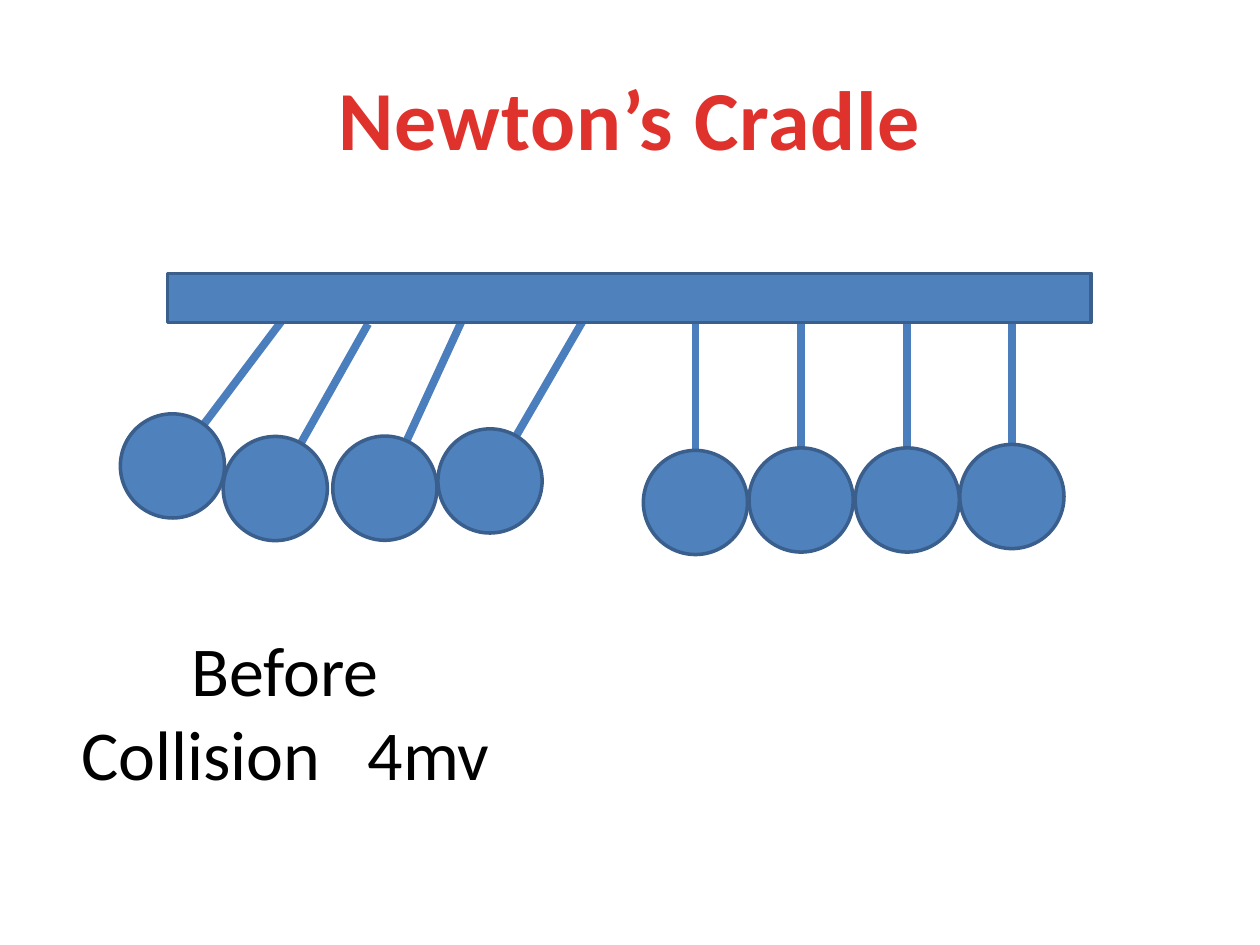
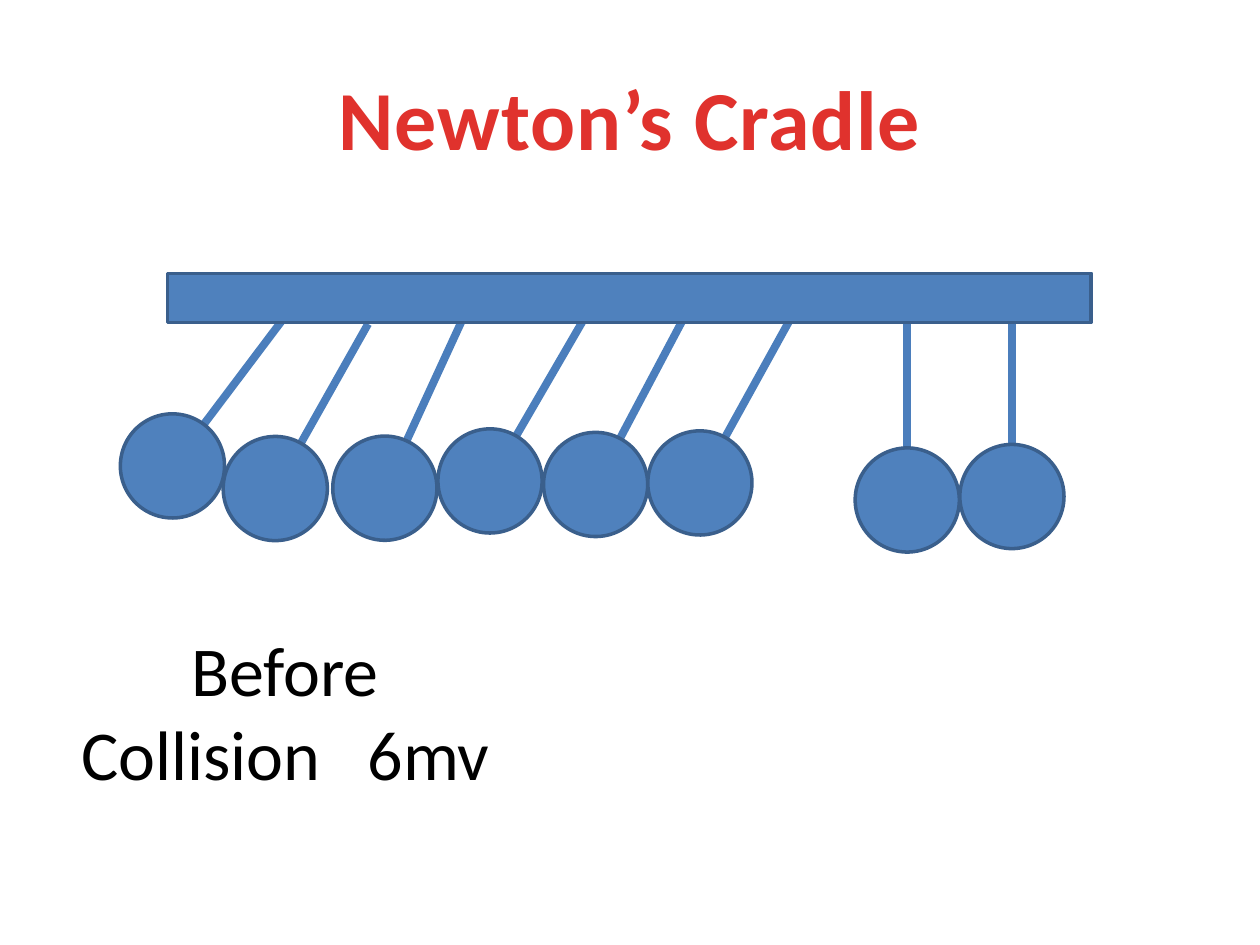
from math import cos, radians, sin

from lxml import etree
from pptx import Presentation
from pptx.dml.color import RGBColor
from pptx.enum.shapes import MSO_CONNECTOR, MSO_SHAPE
from pptx.enum.text import MSO_ANCHOR, PP_ALIGN
from pptx.oxml.ns import qn
from pptx.util import Cm, Pt

RECTANGLE, OVAL = MSO_SHAPE.RECTANGLE, MSO_SHAPE.OVAL
STRAIGHT = MSO_CONNECTOR.STRAIGHT
CENTER = PP_ALIGN.CENTER
TOP, MIDDLE = MSO_ANCHOR.TOP, MSO_ANCHOR.MIDDLE

# Content: string hooks as (x, y, swing in degrees), lengths in cm
TITLE = "Newton’s Cradle"
CAPTION = "Before Collision"
RAISED = [
    (5.77, 6.35, 37), (7.42, 6.53, 29.4), (9.35, 6.38, 24.7),
    (11.79, 6.4, 30.1), (13.79, 6.4, 27.9), (15.95, 6.4, 28.9),
]
HANGING = [
    (14.02, 6.32, 0), (16.15, 6.27, 0), (18.29, 6.27, 0), (20.4, 6.2, 0),
]
BALL_COUNT = 8
SLIDES = [(4, "4mv"), (6, "6mv")]  # moving balls, momentum

# Shared look
FONT = "Calibri"
RED = RGBColor(0xE0, 0x32, 0x2D)
DARK_RED = RGBColor(0xA2, 0x20, 0x1C)
BLACK = RGBColor(0x00, 0x00, 0x00)
BLUE = RGBColor(0x4F, 0x81, 0xBD)
OUTLINE_BLUE = RGBColor(0x3A, 0x5F, 0x8C)
STRING_BLUE = RGBColor(0x4B, 0x7E, 0xBC)

TITLE_BOX = (1.27, 0.76, 22.86, 3.18)
CAPTION_BOX = (1.04, 12.5, 9.42, 3.18)
BAR_BOX = (3.38, 5.51, 18.62, 0.99)
STRING_LENGTH = 2.76
BALL_RADIUS = 1.05


def add_text(slide, box, text, size, anchor):
    frame = slide.shapes.add_textbox(*map(Cm, box)).text_frame
    frame.word_wrap = True
    frame.vertical_anchor = anchor
    frame.margin_left = frame.margin_right = Cm(0.3)
    paragraph = frame.paragraphs[0]
    paragraph.text = text
    paragraph.alignment = CENTER
    paragraph.font.name = FONT
    paragraph.font.size = Pt(size)
    for run in paragraph.runs:
        format_run(run, size)
    return paragraph


def format_run(run, size, spacing=0):
    run.font.name = FONT
    run.font.size = Pt(size)
    run.font.color.rgb = BLACK
    if spacing:
        run.font._element.set("spc", str(round(spacing * 100)))


def add_title(slide):
    run = add_text(slide, TITLE_BOX, TITLE, 48, MIDDLE).runs[0]
    format_run(run, 48, spacing=0.5)
    run.font.bold = True
    fill = run.font.fill
    fill.gradient()
    fill.gradient_angle = 270
    for stop, color, position in zip(fill.gradient_stops, (RED, DARK_RED), (0.25, 1)):
        stop.color.rgb = color
        stop.position = position


def add_caption(slide, momentum):
    paragraph = add_text(slide, CAPTION_BOX, CAPTION, 40, TOP)
    # One widened space sets the value apart
    for text, spacing in ((" ", 18), (momentum, 0)):
        run = paragraph.add_run()
        run.text = text
        format_run(run, 40, spacing)


def add_solid(shapes, kind, box):
    shape = shapes.add_shape(kind, *map(Cm, box))
    shape.shadow.inherit = False
    shape.fill.solid()
    shape.fill.fore_color.rgb = BLUE
    shape.line.color.rgb = OUTLINE_BLUE
    shape.line.width = Pt(2)
    return shape


def add_pendulum(slide, hook_x, hook_y, swing):
    shapes = slide.shapes.add_group_shape().shapes
    across, down = -sin(radians(swing)), cos(radians(swing))

    # String
    end_x = hook_x + STRING_LENGTH * across
    end_y = hook_y + STRING_LENGTH * down
    string = shapes.add_connector(STRAIGHT, *map(Cm, (hook_x, hook_y, end_x, end_y)))
    string.line.color.rgb = STRING_BLUE
    string.line.width = Pt(4.5)
    etree.SubElement(string._element.spPr, qn("a:effectLst"))

    # Ball, touching the end of the string
    left = end_x + BALL_RADIUS * (across - 1)
    top = end_y + BALL_RADIUS * (down - 1)
    ball = add_solid(shapes, OVAL, (left, top, 2 * BALL_RADIUS, 2 * BALL_RADIUS))
    ball.rotation = swing


def main():
    presentation = Presentation()
    presentation.slide_width, presentation.slide_height = Cm(25.4), Cm(19.05)
    for moving, momentum in SLIDES:
        slide = presentation.slides.add_slide(presentation.slide_layouts[6])
        add_title(slide)
        add_caption(slide, momentum)
        for pendulum in RAISED[:moving] + HANGING[moving - BALL_COUNT:]:
            add_pendulum(slide, *pendulum)
        add_solid(slide.shapes, RECTANGLE, BAR_BOX)
    presentation.save("out.pptx")


if __name__ == "__main__":
    main()
